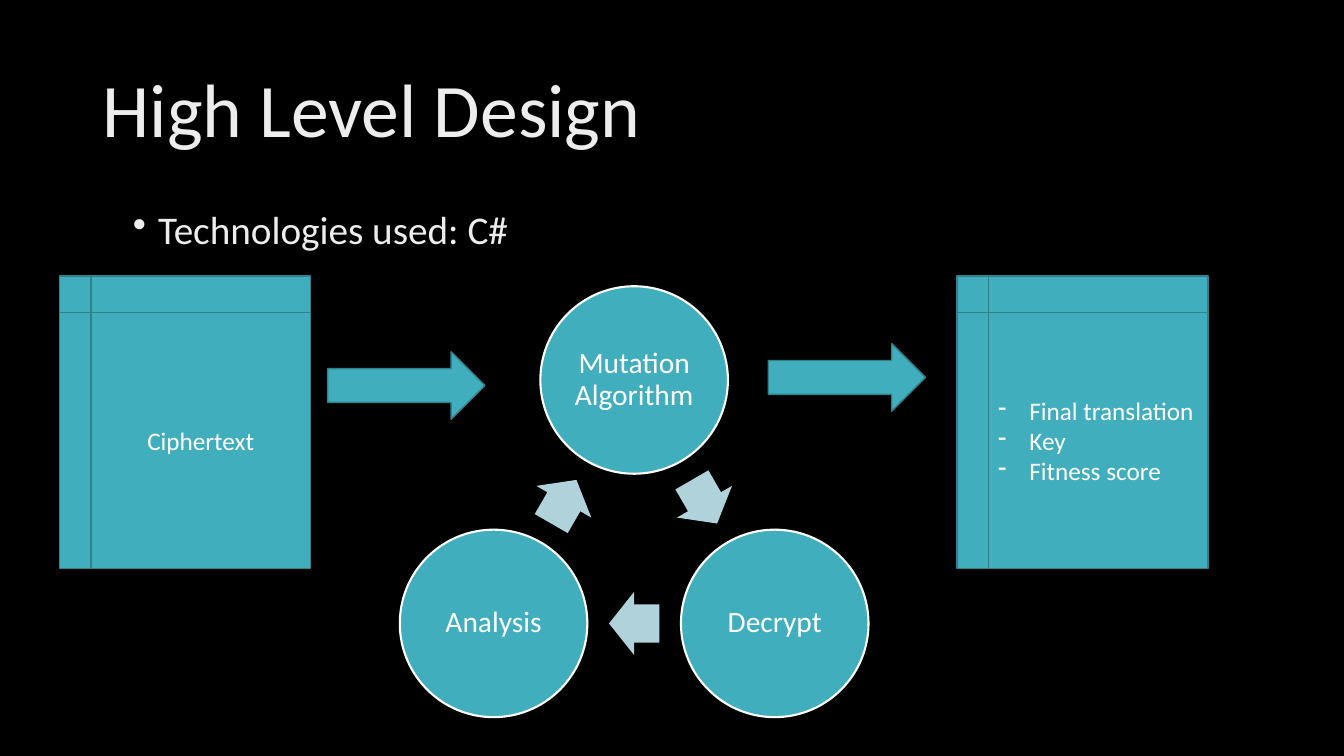
from math import cos, radians, sin

from lxml.etree import SubElement
from pptx import Presentation
from pptx.dml.color import RGBColor
from pptx.enum.shapes import MSO_SHAPE
from pptx.enum.text import MSO_ANCHOR, PP_ALIGN
from pptx.oxml.ns import qn
from pptx.util import Inches, Pt

# Theme
theme = {
    "font": "Calibri",
    "back": RGBColor.from_string("000000"),
    "head": RGBColor.from_string("EDEDED"),
    "text": RGBColor.from_string("FFFFFF"),
    "teal": RGBColor.from_string("41AEBD"),
    "edge": RGBColor.from_string("30818C"),
    "pale": RGBColor.from_string("B0D3DB"),
    "title": Pt(54), "body": Pt(28), "node": Pt(21), "card": Pt(18),
}

deck = Presentation()
deck.slide_width, deck.slide_height = Inches(13.33), Inches(7.5)
slide = deck.slides.add_slide(deck.slide_layouts[5])
slide.background.fill.solid()
slide.background.fill.fore_color.rgb = theme["back"]


def write(shape, lines, size, color, mark=None, indent=0, **form):
    frame = shape.text_frame
    frame.word_wrap = True
    frame.vertical_anchor = MSO_ANCHOR.MIDDLE
    frame.text = "\n".join(lines)
    for para in frame.paragraphs:
        for key, value in {"alignment": PP_ALIGN.LEFT, **form}.items():
            setattr(para, key, value)
        look = {"name": theme["font"], "size": theme[size]}
        for key, value in look.items():
            setattr(para.font, key, value)
        para.font.color.rgb = theme[color]
        if mark:
            props = para._p.get_or_add_pPr()
            props.set("marL", str(Inches(indent)))
            props.set("indent", str(-Inches(indent)))
            SubElement(props, qn("a:buChar")).set("char", mark)


def draw(kind, left, top, width, height, fill, line=None, weight=1):
    shape = slide.shapes.add_shape(
        kind, Inches(left), Inches(top), Inches(width), Inches(height))
    shape.shadow.inherit = False
    shape.fill.solid()
    shape.fill.fore_color.rgb = theme[fill]
    if line:
        shape.line.color.rgb = theme[line]
        shape.line.width = Pt(weight)
    else:
        shape.line.fill.background()
    return shape


# Title and bullet
title = slide.shapes.title
place = {"left": 0.92, "top": 0.4, "width": 11.5, "height": 1.45}
for key, value in place.items():
    setattr(title, key, Inches(value))
write(title, ["High Level Design"], "title", "head", line_spacing=0.9)

body = slide.shapes.add_textbox(
    Inches(1.22), Inches(2), Inches(11.19), Inches(0.6))
write(body, ["Technologies used: C#"], "body", "head", "•", 0.25,
      line_spacing=0.9)

# Cycle: nodes on a ring, with an arrow midway between each pair
mid_x, mid_y, ring, node = 6.29, 5.38, 1.61, 1.86
wide, high = 0.5, 0.63
for step, name in enumerate(["Mutation Algorithm", "Decrypt", "Analysis"]):
    angle = -90 + 120 * step
    x = mid_x + ring * cos(radians(angle))
    y = mid_y + ring * sin(radians(angle))
    disc = draw(MSO_SHAPE.OVAL, x - node / 2, y - node / 2, node, node,
                "teal", "text", 1.5)
    for side in ("left", "right", "top", "bottom"):
        setattr(disc.text_frame, "margin_" + side, Inches(0.03))
    write(disc, [name], "node", "text",
          alignment=PP_ALIGN.CENTER, line_spacing=0.9)

    turn = radians(angle + 60)
    x = mid_x + ring / 2 * cos(turn)
    y = mid_y + ring / 2 * sin(turn)
    arrow = draw(MSO_SHAPE.RIGHT_ARROW, x - wide / 2, y - high / 2,
                 wide, high, "pale")
    arrow.adjustments[0] = 0.6
    arrow.rotation = angle + 150

# Input and output cards
cards = [
    (0.59, ["Ciphertext"], {"alignment": PP_ALIGN.CENTER}),
    (9.49, ["Final translation", "Key", "Fitness score"],
     {"mark": "-", "indent": 0.31}),
]
for left, lines, form in cards:
    card = draw(MSO_SHAPE.FLOWCHART_INTERNAL_STORAGE, left, 2.74, 2.49, 2.9,
                "teal", "edge")
    write(card, lines, "card", "text", **form)

# Arrows into and out of the cycle
for left, top in [(3.25, 3.49), (7.62, 3.41)]:
    draw(MSO_SHAPE.RIGHT_ARROW, left, top, 1.56, 0.67, "teal", "edge")

deck.save("out.pptx")
